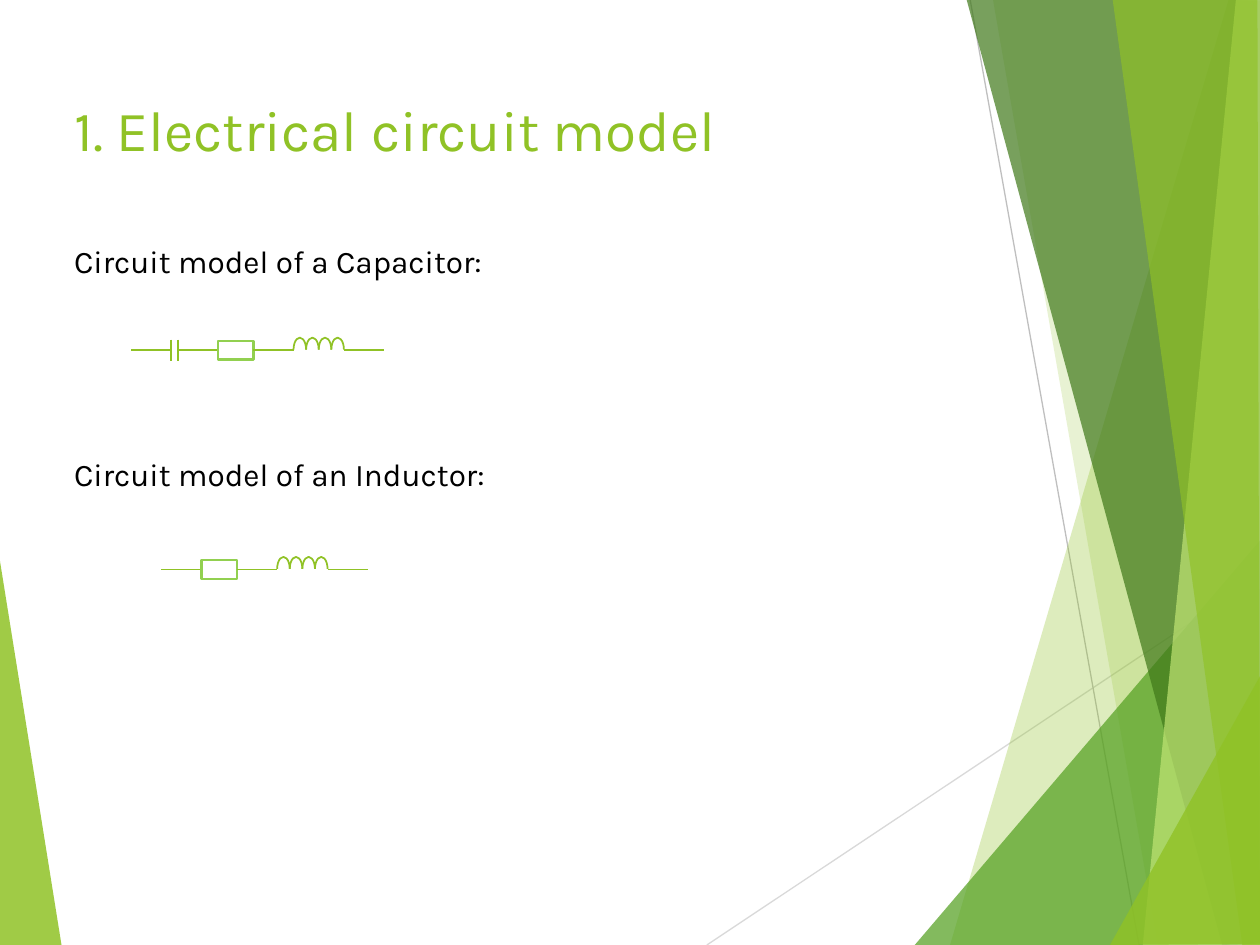
from pptx import Presentation
from pptx.dml.color import RGBColor
from pptx.enum.shapes import MSO_CONNECTOR as Conn, MSO_SHAPE as Kind
from pptx.enum.text import MSO_ANCHOR as Anchor, PP_ALIGN as Align
from pptx.oxml.ns import qn
from pptx.util import Inches, Pt
from lxml.etree import SubElement as Sub

FONT, GREEN, LIME = "Karla", "90C226", "92D050"
TITLE = "1. Electrical circuit model"
WIRE, GAP, LOOP, LOOPS = 0.32, 0.05, 0.1, 4
BOX_W, BOX_H, PLATE = 0.28, 0.15, 0.17

LEFT = [(GREEN, 85, [(-0.01, 4.39), (0.49, 7.51), (-0.01, 7.5)])]
RAYS = [
    ("D9D9D9", (5.61, 7.5), (10.01, 4.57)),
    ("BFBFBF", (7.7, 0), (9.04, 7.5)),
]
RIGHT = [
    (GREEN, 30, [(9.75, 0), (7.54, 7.5), (10.02, 7.51), (10.01, 0.01)]),
    (GREEN, 20, [(7.88, -0.01), (9.19, 7.5), (10.01, 7.5), (10.01, -0.01)]),
    ("54A021", 72, [(7.26, 7.5), (10, 4.29), (10.01, 7.5)]),
    ("3F7819", 70, [(7.67, -0.01), (9.7, 7.5), (10.01, 7.49), (10.01, -0.01)]),
    ("C0E474", 70, [(9.81, -0.01), (9.07, 7.5), (10.01, 7.5), (10, -0.01)]),
    (GREEN, 65, [(8.83, -0.01), (9.86, 7.5), (10, 7.5), (9.98, -0.01)]),
    (GREEN, 80, [(8.81, 7.5), (10.01, 5.35), (10.01, 7.49)]),
]
MODELS = [
    ("Circuit model of a Capacitor:", 1.87, 1.04, 2.78, ["cap", "res", "coil"]),
    ("Circuit model of an Inductor:", 3.56, 1.28, 4.52, ["res", "coil"]),
]

deck = Presentation()
deck.slide_width, deck.slide_height = Inches(10), Inches(7.5)
slide = deck.slides.add_slide(deck.slide_layouts[5])
shapes = slide.shapes


def rgb(code):
    return RGBColor.from_string(code)


def facet(color, alpha, points):
    spots = [(Inches(x), Inches(y)) for x, y in points]
    path = shapes.build_freeform(*spots[0])
    path.add_line_segments(spots[1:], close=True)
    shape = path.convert_to_shape()
    shape.shadow.inherit = False
    shape.line.fill.background()
    shape.fill.solid()
    shape.fill.fore_color.rgb = rgb(color)
    tint = shape._element.spPr.find(".//" + qn("a:srgbClr"))
    Sub(tint, qn("a:alpha")).set("val", str(alpha * 1000))


def line(start, end, color=GREEN, width=1):
    wire = shapes.add_connector(
        Conn.STRAIGHT, *(Inches(v) for v in (*start, *end)))
    wire.line.color.rgb = rgb(color)
    wire.line.width = Pt(width)
    Sub(wire._element.spPr, qn("a:effectLst"))
    return wire


def outline(kind, x, y, w, h, color, width):
    shape = shapes.add_shape(kind, *(Inches(v) for v in (x, y, w, h)))
    shape.shadow.inherit = False
    shape.fill.background()
    shape.line.color.rgb = rgb(color)
    shape.line.width = Pt(width)
    return shape


def write(box, text, place, size, color):
    box.left, box.top, box.width, box.height = (Inches(v) for v in place)
    frame = box.text_frame
    frame.text = text
    frame.word_wrap = True
    frame.vertical_anchor = Anchor.TOP
    para = frame.paragraphs[0]
    para.alignment = Align.LEFT
    font = para.runs[0].font
    font.name, font.size, font.color.rgb = FONT, Pt(size), rgb(color)


def part(name, x, y):
    if name == "cap":
        for px in (x, x + GAP):
            line((px, y - PLATE / 2), (px, y + PLATE / 2))
        return GAP, None
    if name == "res":
        return BOX_W, outline(
            Kind.RECTANGLE, x, y - BOX_H / 2, BOX_W, BOX_H, LIME, 1.5)
    for i in range(LOOPS):
        arc = outline(Kind.ARC, x + i * LOOP, y - 0.1, LOOP, 0.19, GREEN, 1)
        arc.adjustments[0], arc.adjustments[1] = 108.243, 0
    return LOOPS * LOOP, None


def circuit(x, y, names):
    last = None
    for name in names + [None]:
        wire = line((x, y), (x + WIRE, y))
        if last:
            wire.begin_connect(last, 3)
        x += WIRE
        if name:
            width, last = part(name, x, y)
            if last:
                wire.end_connect(last, 1)
            x += width


for item in LEFT:
    facet(*item)
for color, start, end in RAYS:
    line(start, end, color, 0.75)
for item in RIGHT:
    facet(*item)

write(shapes.title, TITLE, (0.49, 0.7, 6.02, 0.54), 32.4, GREEN)
for text, top, x, y, names in MODELS:
    box = shapes.add_textbox(0, 0, 0, 0)
    write(box, text, (0.49, top, 4.03, 0.4), 18, "000000")
    circuit(x, y, names)

deck.save("out.pptx")
